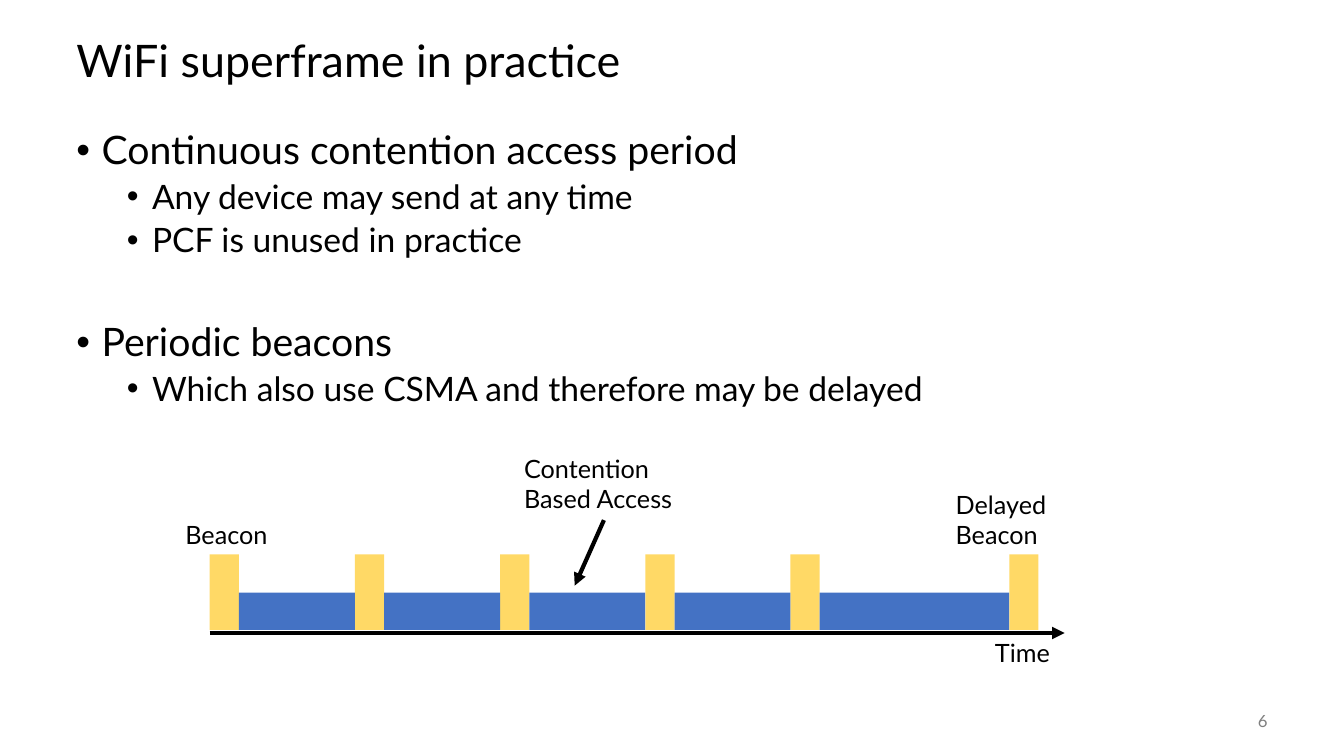
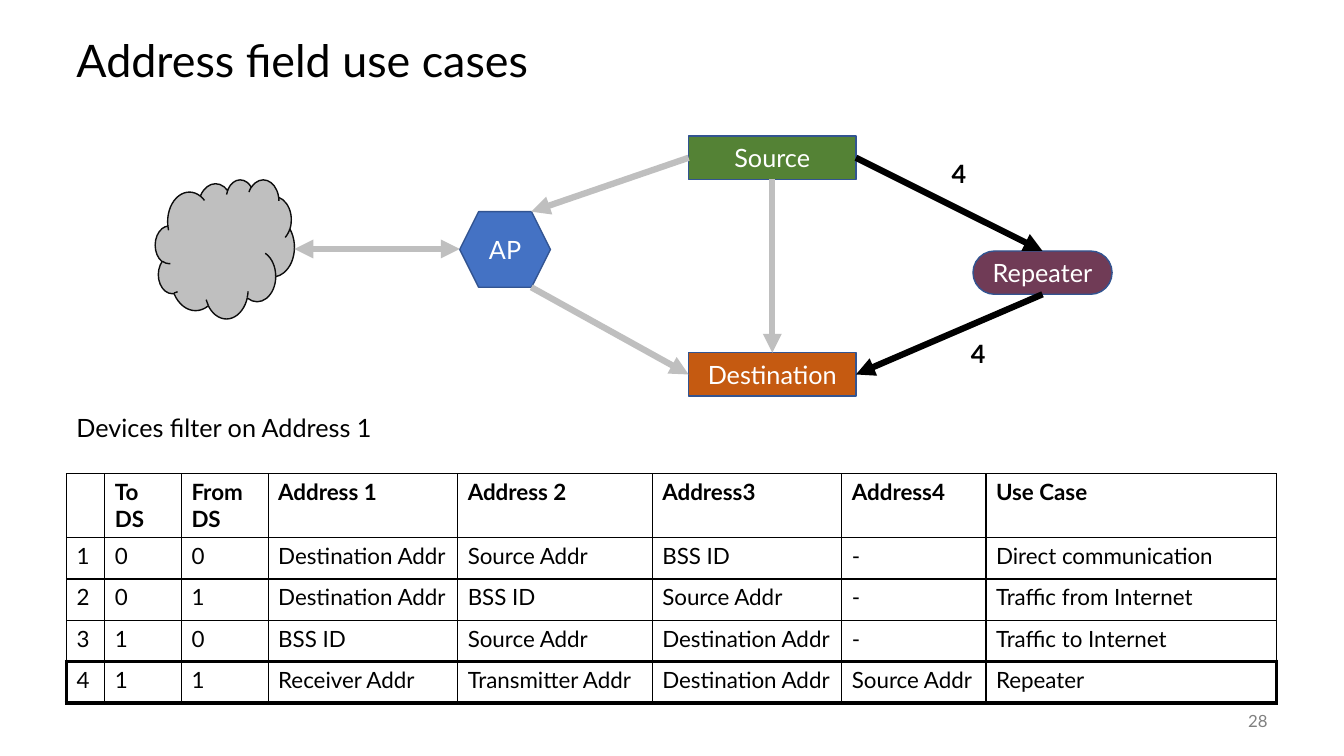
import pptx
import pptx.dml.color
import pptx.enum.shapes
import pptx.enum.text
import pptx.oxml.ns
import pptx.util
from lxml import etree

Inches = pptx.util.Inches
Pt = pptx.util.Pt
RGB = pptx.dml.color.RGBColor.from_string
Shape = pptx.enum.shapes.MSO_SHAPE
Align = pptx.enum.text.PP_ALIGN
Anchor = pptx.enum.text.MSO_ANCHOR
qn = pptx.oxml.ns.qn


class Theme:
    font = "Lato"
    black, white, number_gray = "000000", "FFFFFF", "808080"
    blue, yellow, green = "4472C4", "FFD966", "548235"
    orange, plum, gray = "C55A11", "703B56", "BFBFBF"
    outline, cloud_outline = "325491", "0D0D0D"
    title, bullet, sub_bullet, label, cell, number = 32, 28, 24, 18, 16, 12
    axis_line, path_line, thin, thick = 3, 4.5, 1, 3


def write_text(frame, lines, size=Theme.label, color=Theme.black, bold=False,
               align=Align.LEFT, anchor=Anchor.TOP):
    frame.word_wrap = True
    frame.vertical_anchor = anchor
    for index, line in enumerate(lines):
        paragraph = frame.paragraphs[0] if index == 0 else frame.add_paragraph()
        paragraph.alignment = align
        run = paragraph.add_run()
        run.text = line
        run.font.name = Theme.font
        run.font.size = Pt(size)
        run.font.bold = bold
        run.font.color.rgb = RGB(color)


def draw_arrow(slide, start, end, color, width, two_way=False):
    arrow = slide.shapes.add_connector(
        pptx.enum.shapes.MSO_CONNECTOR.STRAIGHT,
        *[Inches(value) for value in (*start, *end)])
    arrow.line.color.rgb = RGB(color)
    arrow.line.width = Pt(width)
    line = arrow.line._get_or_add_ln()
    for end_tag in ("a:headEnd", "a:tailEnd") if two_way else ("a:tailEnd",):
        etree.SubElement(line, qn(end_tag), type="triangle")
    etree.SubElement(arrow._element.spPr, qn("a:effectLst"))
    return arrow


deck = pptx.Presentation()
deck.slide_width, deck.slide_height = Inches(13.33), Inches(7.5)
slides = []
for title, number in (("WiFi superframe in practice", "6"),
                      ("Address field use cases", "28")):
    slide = deck.slides.add_slide(deck.slide_layouts[6])
    heading = slide.shapes.add_textbox(Inches(0.66), Inches(0.25), Inches(12), Inches(0.75))
    write_text(heading.text_frame, [title], Theme.title, anchor=Anchor.MIDDLE)
    heading.text_frame.paragraphs[0].line_spacing = 0.9
    footer = slide.shapes.add_textbox(Inches(11.67), Inches(6.95), Inches(1), Inches(0.4))
    write_text(footer.text_frame, [number], Theme.number, Theme.number_gray,
               align=Align.RIGHT, anchor=Anchor.MIDDLE)
    slides.append(slide)
superframe, addressing = slides

points = (
    ("Continuous contention access period", 0, 0),
    ("Any device may send at any time", 1, 5),
    ("PCF is unused in practice", 1, 5),
    ("Periodic beacons", 0, 45),
    ("Which also use CSMA and therefore may be delayed", 1, 5),
)
body = superframe.shapes.add_textbox(Inches(0.66), Inches(1.25), Inches(12), Inches(3.1))
write_text(body.text_frame, [text for text, level, gap in points])
for paragraph, (text, level, gap) in zip(body.text_frame.paragraphs, points):
    paragraph.level = level
    paragraph.line_spacing = 0.9
    paragraph.space_before = Pt(gap)
    properties = paragraph._p.get_or_add_pPr()
    properties.set("marL", str(Inches(0.25 + 0.5 * level)))
    properties.set("indent", str(-Inches(0.25)))
    etree.SubElement(properties, qn("a:buFont"), typeface="Arial")
    etree.SubElement(properties, qn("a:buChar"), char="•")
    paragraph.runs[0].font.size = Pt(Theme.sub_bullet if level else Theme.bullet)

beacon_width = 0.29
beacon_lefts = [2.08 + 1.44 * index for index in range(5)] + [10.01]
periods = [(left, 5.5, beacon_width, 0.75, Theme.yellow) for left in beacon_lefts]
for left, following in zip(beacon_lefts, beacon_lefts[1:]):
    access_left = left + beacon_width
    periods.append((access_left, 5.88, following - access_left, 0.37, Theme.blue))
for left, top, width, height, color in periods:
    period = superframe.shapes.add_shape(
        Shape.RECTANGLE, Inches(left), Inches(top), Inches(width), Inches(height))
    period.shadow.inherit = False
    period.fill.solid()
    period.fill.fore_color.rgb = RGB(color)
    period.line.fill.background()

draw_arrow(superframe, (2.08, 6.28), (10.56, 6.28), Theme.black, Theme.axis_line)
draw_arrow(superframe, (5.99, 5.16), (5.7, 5.81), Theme.black, Theme.axis_line)

for slide, left, top, width, height, lines, bold in (
    (superframe, 9.77, 6.27, 0.8, 0.4, ["Time"], False),
    (superframe, 9.38, 4.8, 1.28, 0.71, ["Delayed Beacon"], False),
    (superframe, 1.74, 5.1, 1.28, 0.4, ["Beacon"], False),
    (superframe, 5.1, 4.45, 1.78, 0.71, ["Contention", "Based Access"], False),
    (addressing, 9.53, 3.31, 0.52, 0.4, ["4"], True),
    (addressing, 9.34, 1.52, 0.52, 0.4, ["4"], True),
    (addressing, 0.66, 4.04, 4.79, 0.4, ["Devices filter on Address 1"], False),
):
    label = slide.shapes.add_textbox(Inches(left), Inches(top), Inches(width), Inches(height))
    write_text(label.text_frame, lines, bold=bold)

nodes = {}
for name, preset, left, top, width, height, fill, outline in (
    ("", Shape.CLOUD, 1.54, 1.78, 1.38, 1.38, Theme.gray, Theme.cloud_outline),
    ("AP", Shape.HEXAGON, 4.56, 2.1, 0.9, 0.75, Theme.blue, Theme.outline),
    ("Source", Shape.RECTANGLE, 6.83, 1.35, 1.66, 0.43, Theme.green, Theme.outline),
    ("Destination", Shape.RECTANGLE, 6.83, 3.5, 1.66, 0.43, Theme.orange, Theme.outline),
    ("Repeater", Shape.ROUNDED_RECTANGLE, 9.65, 2.49, 1.38, 0.43, Theme.plum, Theme.outline),
):
    node = addressing.shapes.add_shape(
        preset, Inches(left), Inches(top), Inches(width), Inches(height))
    node.shadow.inherit = False
    node.fill.solid()
    node.fill.fore_color.rgb = RGB(fill)
    node.line.color.rgb = RGB(outline)
    node.line.width = Pt(Theme.thin)
    if name:
        write_text(node.text_frame, [name], color=Theme.white,
                   align=Align.CENTER, anchor=Anchor.MIDDLE)
    nodes[name] = node
nodes["Repeater"].adjustments[0] = 0.5

draw_arrow(addressing, (2.92, 2.47), (4.56, 2.47), Theme.gray, Theme.path_line, two_way=True)
for start, end, color, origin, target in (
    ((6.83, 1.57), (5.27, 2.1), Theme.gray, ("Source", 1), None),
    ((5.27, 2.85), (6.83, 3.72), Theme.gray, None, ("Destination", 1)),
    ((7.66, 1.78), (7.66, 3.5), Theme.gray, ("Source", 2), ("Destination", 0)),
    ((8.49, 1.57), (10.34, 2.49), Theme.black, ("Source", 3), ("Repeater", 0)),
    ((10.34, 2.92), (8.49, 3.72), Theme.black, ("Repeater", 2), ("Destination", 3)),
):
    hop = draw_arrow(addressing, start, end, color, Theme.path_line)
    if origin:
        hop.begin_connect(nodes[origin[0]], origin[1])
    if target:
        hop.end_connect(nodes[target[0]], target[1])

use_cases = (
    ("", "To DS", "From DS", "Address 1", "Address 2", "Address3", "Address4", "Use Case"),
    ("1", "0", "0", "Destination Addr", "Source Addr", "BSS ID", "-", "Direct communication"),
    ("2", "0", "1", "Destination Addr", "BSS ID", "Source Addr", "-", "Traffic from Internet"),
    ("3", "1", "0", "BSS ID", "Source Addr", "Destination Addr", "-", "Traffic to Internet"),
    ("4", "1", "1", "Receiver Addr", "Transmitter Addr", "Destination Addr", "Source Addr",
     "Repeater"),
)
column_widths = (0.38, 0.76, 0.86, 1.88, 1.93, 1.88, 1.43, 2.88)
row_heights = (0.63, 0.41, 0.41, 0.41, 0.41)
last_row, last_column = len(row_heights) - 1, len(column_widths) - 1
address_table = addressing.shapes.add_table(
    len(row_heights), len(column_widths), Inches(0.66), Inches(4.7),
    Inches(sum(column_widths)), Inches(sum(row_heights))).table
address_table.first_row = address_table.horz_banding = False
for column, width in zip(address_table.columns, column_widths):
    column.width = Inches(width)
for row, height in zip(address_table.rows, row_heights):
    row.height = Inches(height)
for row_index, row in enumerate(use_cases):
    for column_index, text in enumerate(row):
        cell = address_table.cell(row_index, column_index)
        if text:
            write_text(cell.text_frame, [text], Theme.cell, bold=row_index == 0)
        highlighted = row_index == last_row
        thick_edges = {
            "L": highlighted and column_index == 0,
            "R": highlighted and column_index == last_column,
            "T": highlighted,
            "B": row_index >= last_row - 1,
        }
        properties = cell._tc.get_or_add_tcPr()
        for edge, is_thick in thick_edges.items():
            weight = Pt(Theme.thick if is_thick else Theme.thin)
            border = etree.SubElement(properties, qn("a:ln" + edge), w=str(weight))
            border_fill = etree.SubElement(border, qn("a:solidFill"))
            etree.SubElement(border_fill, qn("a:srgbClr"), val=Theme.black)
        cell.fill.solid()
        cell.fill.fore_color.rgb = RGB(Theme.white)

deck.save("out.pptx")
